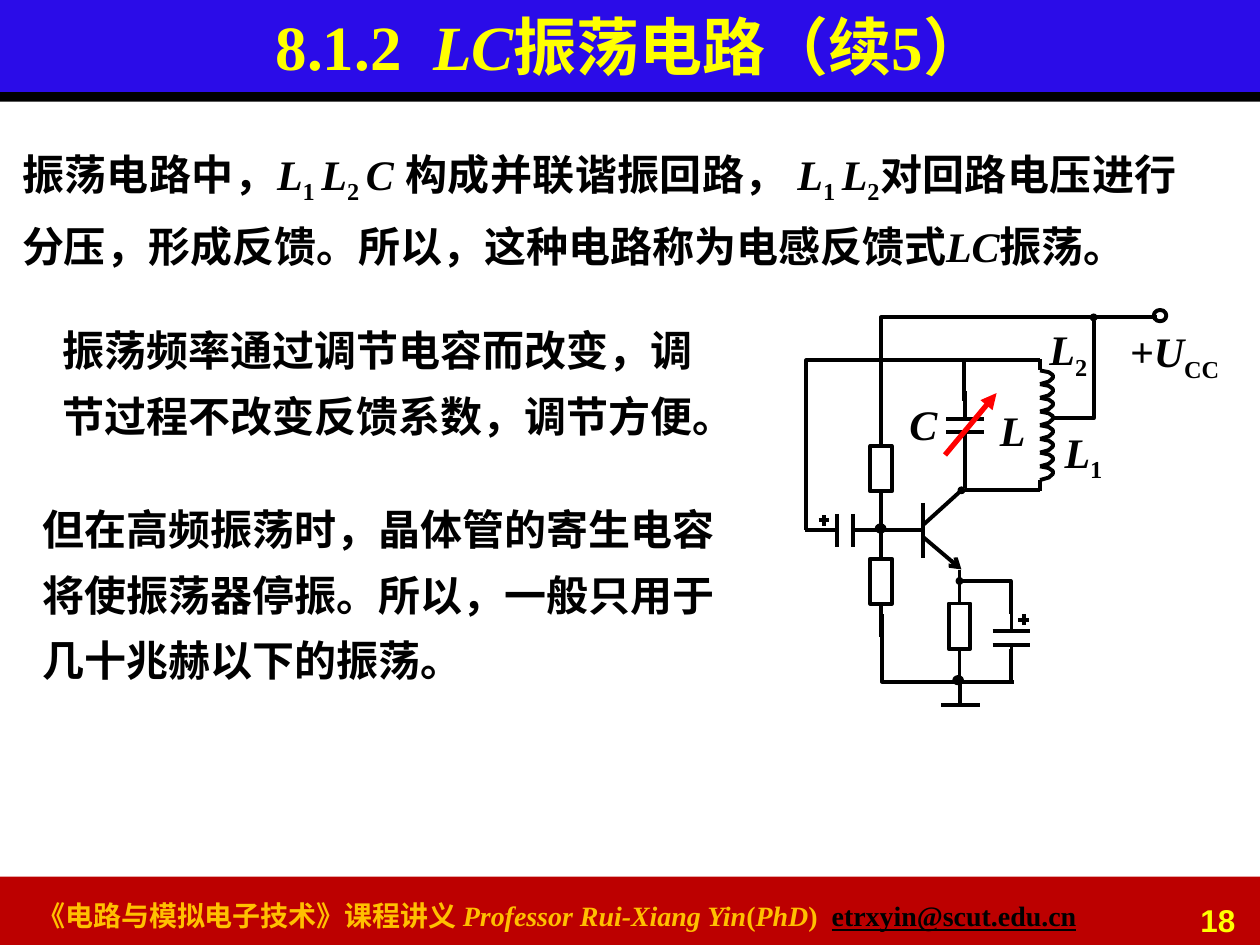
from dataclasses import dataclass

from lxml import etree
from pptx import Presentation
from pptx.dml.color import RGBColor
from pptx.enum.shapes import MSO_CONNECTOR, MSO_SHAPE
from pptx.enum.text import MSO_ANCHOR, MSO_AUTO_SIZE, PP_ALIGN
from pptx.oxml.ns import qn
from pptx.util import Pt

STRAIGHT = MSO_CONNECTOR.STRAIGHT
RECT, OVAL = MSO_SHAPE.RECTANGLE, MSO_SHAPE.OVAL
LEFT, CENTER, RIGHT, JUSTIFY = PP_ALIGN.LEFT, PP_ALIGN.CENTER, PP_ALIGN.RIGHT, PP_ALIGN.JUSTIFY
MIDDLE = MSO_ANCHOR.MIDDLE
FIT_SHAPE, FIXED = MSO_AUTO_SIZE.SHAPE_TO_FIT_TEXT, MSO_AUTO_SIZE.NONE
TOP_SIDE, BOTTOM_SIDE = 0, 2


@dataclass(frozen=True)
class Theme:
    serif: str = "Times New Roman"
    sans: str = "Arial"
    ink: RGBColor = RGBColor(0, 0, 0)
    blue: RGBColor = RGBColor(0x2B, 0x0C, 0xE8)
    crimson: RGBColor = RGBColor(0xBC, 0, 0)
    yellow: RGBColor = RGBColor(0xFF, 0xFF, 0)
    gold: RGBColor = RGBColor(0xFF, 0xC0, 0)
    red: RGBColor = RGBColor(0xFF, 0, 0)
    title_size: int = 36
    body_size: int = 24
    footer_size: int = 16
    number_size: int = 18
    wire: float = 2.25


THEME = Theme()


# Text helpers
def write(frame, spans, size, color, font=THEME.serif, align=LEFT, spacing=None):
    """Fill the first paragraph; each span is (text, style), style "", "i", "sub" or "mail"."""
    para = frame.paragraphs[0]
    para.alignment = align
    if spacing:
        para.line_spacing = spacing
    para.font.name, para.font.size, para.font.bold = font, Pt(size), True
    para.font.color.rgb = color
    for text, style in spans:
        span = para.add_run()
        span.text = text
        if style == "i":
            span.font.italic = True
        elif style == "sub":
            span.font._element.set("baseline", "-25000")
        elif style == "mail":
            span.font.underline = True
            span.font.color.rgb = THEME.ink


def text_box(shapes, box, spans, size=THEME.body_size, color=THEME.ink, wrap=True, **style):
    frame = shapes.add_textbox(*map(Pt, box)).text_frame
    frame.word_wrap = wrap
    frame.auto_size = FIT_SHAPE
    write(frame, spans, size, color, **style)


# Shape helpers
def band(page, box, color):
    shape = page.shapes.add_shape(RECT, *map(Pt, box))
    shape.shadow.inherit = False
    shape.fill.solid()
    shape.fill.fore_color.rgb = color
    shape.line.fill.background()
    return shape


def set_line(shape, color=THEME.ink, width=THEME.wire, head=None, tail=None):
    shape.line.color.rgb = color
    shape.line.width = Pt(width)
    outline = shape.element.spPr.find(qn("a:ln"))
    for tag, end in (("a:headEnd", head), ("a:tailEnd", tail)):
        if end:
            tip = etree.SubElement(outline, qn(tag))
            tip.set("type", end)
            if end == "oval":
                tip.set("w", "sm")
                tip.set("len", "sm")


class Schematic:
    """Draws circuit parts at points relative to the corner of its box."""

    def __init__(self, page, left, top):
        self.shapes = page.shapes.add_group_shape().shapes
        self.left, self.top = left, top

    def at(self, x, y):
        return Pt(self.left + x), Pt(self.top + y)

    def line(self, start, end, **style):
        wire = self.shapes.add_connector(STRAIGHT, *self.at(*start), *self.at(*end))
        set_line(wire, **style)
        etree.SubElement(wire.element.spPr, qn("a:effectLst"))
        return wire

    def route(self, points, **style):
        corners = [self.at(*point) for point in points]
        builder = self.shapes.build_freeform(*corners[0])
        builder.add_line_segments(corners[1:], close=False)
        shape = builder.convert_to_shape()
        shape.fill.background()
        shape.shadow.inherit = False
        set_line(shape, **style)

    def outline(self, kind, x, y, width, height, solid=False):
        shape = self.shapes.add_shape(kind, *self.at(x, y), Pt(width), Pt(height))
        shape.shadow.inherit = False
        if solid:
            shape.fill.solid()
            shape.fill.fore_color.rgb = THEME.ink
        else:
            shape.fill.background()
        set_line(shape)
        return shape

    def resistor(self, x, top, width=12.2, height=25.9, lead=18.9):
        body = self.outline(RECT, x - width / 2, top, width, height)
        self.line((x, top - lead), (x, top)).end_connect(body, TOP_SIDE)
        bottom = top + height
        self.line((x, bottom), (x, bottom + lead)).begin_connect(body, BOTTOM_SIDE)

    def capacitor(self, center, first, gap, half, lead, sideways=False):
        """Two plates across the given axis, each with a lead pointing outwards."""
        for plate, outward in ((first, -lead), (first + gap, lead)):
            plate_ends = [(center - half, plate), (center + half, plate)]
            lead_ends = [(center, plate), (center, plate + outward)]
            for ends in (plate_ends, lead_ends):
                self.line(*[point[::-1] if sideways else point for point in ends])

    def plus(self, x, y, arm=3.1):
        self.line((x - arm, y), (x + arm, y))
        self.line((x, y - arm), (x, y + arm))

    def coil(self, x, top, turns=8, pitch=7.83, depth=7.6):
        bump = ((0, 0), (.65, .13), (.96, .34), (.96, .56), (.65, .82), (0, 1))
        for turn in range(turns):
            self.route([(x + depth * across, top + (turn + down) * pitch)
                        for across, down in bump])

    def label(self, x, y, width, spans):
        text_box(self.shapes, (self.left + x, self.top + y, width, 36), spans, wrap=False)


# Regions of the slide
def draw_header(page, width):
    band(page, (-1, 0, width + 2, 55), THEME.blue)
    rule = band(page, (-1, 52.7, width + 2, 5.5), THEME.ink)
    title = page.shapes.title
    rule.element.addnext(title.element)
    title.left, title.top, title.width, title.height = map(Pt, (0, 0, width + 1, 52))
    frame = title.text_frame
    frame.auto_size = FIXED
    frame.vertical_anchor = MIDDLE
    write(frame, [("8.1.2  ", ""), ("LC", "i"), ("振荡电路（续5）", "")],
          THEME.title_size, THEME.yellow, align=CENTER)


def draw_footer(page, width, top):
    band(page, (-1, top, width + 2, 40), THEME.crimson)
    text_box(page.shapes, (14.4, top + 9, 635, 26.6),
             [("《电路与模拟电子技术》课程讲义 ", ""), ("Professor Rui-Xiang Yin", "i"), ("(", ""),
              ("PhD", "i"), (")  ", ""), ("etrxyin@scut.edu.cn", "mail")],
             THEME.footer_size, THEME.gold)
    text_box(page.shapes, (width - 75, top + 10.6, 68, 22.5), [("18", "")],
             THEME.number_size, THEME.yellow, font=THEME.sans, align=RIGHT)


def draw_notes(page):
    coils = [("L", "i"), ("1 ", "sub"), ("L", "i")]
    resonance = [("振荡电路中，", ""), *coils, ("2 ", "sub"), ("C ", "i"),
                 ("构成并联谐振回路， ", ""), *coils, ("2", "sub"),
                 ("对回路电压进行分压，形成反馈。所以，这种电路称为电感反馈式", ""),
                 ("LC", "i"), ("振荡。", "")]
    tuning = [("振荡频率通过调节电容而改变，调节过程不改变反馈系数，调节方便。", "")]
    limit = [("但在高频振荡时，晶体管的寄生电容将使振荡器停振。"
              "所以，一般只用于几十兆赫以下的振荡。", "")]
    for box, spans, align in (((5.5, 71.3, 674, 83), resonance, JUSTIFY),
                              ((28.8, 173.5, 391.7, 83), tuning, LEFT),
                              ((17.3, 275.8, 409, 121), limit, LEFT)):
        text_box(page.shapes, box, spans, align=align, spacing=1.3)


def draw_circuit(page, left, top):
    circuit = Schematic(page, left, top)
    bias, base, emitter, tank, bypass, inductor, tap = 43.5, 67.3, 88.3, 91.5, 118, 134.3, 165
    supply, feedback, collector, input_row, ground = 1.4, 25.9, 100.2, 123, 209.5

    # Supply, feedback and ground wires
    circuit.route([(0.8, input_row), (0.8, feedback), (inductor, feedback)])
    circuit.route([(bias, 59), (bias, supply), (201, supply)])
    circuit.route([(44, 171), (44, ground), (119.6, ground)])
    circuit.route([(tap, supply), (tap, 59), (142.6, 59)], head="oval")
    circuit.route([(117.5, 171), (117.5, 152), (emitter, 152)], tail="oval")
    circuit.outline(OVAL, 199.3, -2.9, 7.2, 6.5)

    # Transistor
    circuit.line((base, 107.3), (base, 139))
    circuit.line((base, 120.2), (89.4, collector))
    circuit.line((base, 126.7), (89.4, 145.4), tail="arrow")
    circuit.line((45.4, input_row), (base, input_row))

    # Resistors and capacitors
    for x, y in ((bias, 74.9), (bias, 139.2), (emitter, 164.9)):
        circuit.resistor(x, y)
    circuit.capacitor(input_row, 18.1, 9.3, 9.4, 18, sideways=True)
    for x, y in ((tank, 59.2), (bypass, 180.6)):
        circuit.capacitor(x, y, 7.8, 10.8, 15.6)
    circuit.plus(10.9, 117.4)
    circuit.plus(125, 174.2)

    # Tuned tank
    circuit.line((90.9, feedback), (90.9, 49))
    circuit.line((tank, 75.6), (tank, 98.6))
    circuit.line((inductor, collector), (89.4, collector), tail="oval")
    circuit.line((inductor, 25.2), (inductor, 31.7))
    circuit.coil(inductor, 31.7)
    circuit.line((inductor, 94.3), (inductor, 100.8))
    circuit.line((80, 80), (109.5, 44.6), color=THEME.red, width=3, tail="triangle")

    # Ground and nodes
    circuit.line((117.5, 190.8), (117.5, ground))
    circuit.line((88.6, ground), (88.6, 222.7))
    circuit.line((77.8, 222.7), (100, 222.7))
    for x, y in ((43.2, 122), (87.5, 208.7)):
        circuit.outline(OVAL, x - 2.2, y - 1.8, 4.4, 3.6, solid=True)

    # Labels
    circuit.label(52.6, 43.9, 30, [("C", "i")])
    circuit.label(104.3, 47.5, 29, [("L", "i")])
    circuit.label(178.6, 2.5, 69, [("+U", "i"), ("CC", "sub")])
    circuit.label(141.2, 60, 37.4, [("L", "i"), ("1", "sub")])
    circuit.label(132.6, 1.4, 36.7, [("L", "i"), ("2", "sub")])


def main():
    deck = Presentation()
    deck.slide_width, deck.slide_height = Pt(720), Pt(540)
    page = deck.slides.add_slide(deck.slide_layouts[5])
    draw_header(page, 720)
    draw_footer(page, 720, 501)
    draw_notes(page)
    draw_circuit(page, 460, 180)
    deck.save("out.pptx")


if __name__ == "__main__":
    main()
